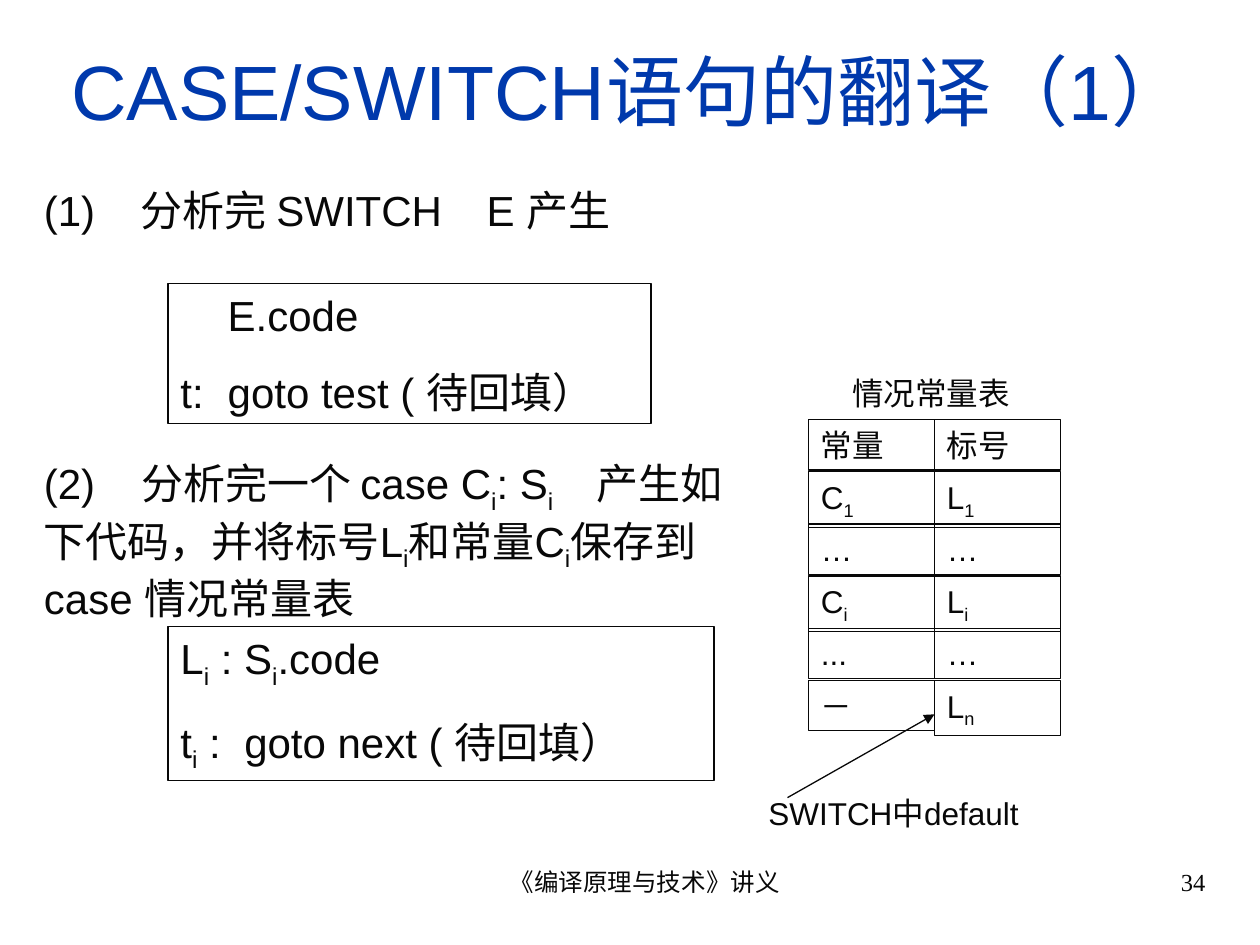
from lxml import etree
from pptx import Presentation
from pptx.dml.color import RGBColor
from pptx.enum.shapes import MSO_CONNECTOR, MSO_SHAPE
from pptx.enum.text import MSO_ANCHOR, MSO_AUTO_SIZE, PP_ALIGN
from pptx.oxml.ns import qn
from pptx.util import Pt

BLUE = RGBColor(0x00, 0x39, 0xAC)
INK = RGBColor(0x08, 0x08, 0x08)
RECTANGLE = MSO_SHAPE.RECTANGLE
STRAIGHT = MSO_CONNECTOR.STRAIGHT
TOP, MIDDLE = MSO_ANCHOR.TOP, MSO_ANCHOR.MIDDLE
LEFT, CENTER, RIGHT = PP_ALIGN.LEFT, PP_ALIGN.CENTER, PP_ALIGN.RIGHT
NO_AUTOFIT = MSO_AUTO_SIZE.NONE
SANS, SERIF = "Arial", "Times New Roman"

# Constant and label columns of the case table; "_" marks a subscript
CASE_ROWS = [
    ("常量", "标号"),
    ("C_1", "L_1"),
    ("…", "…"),
    ("C_i", "L_i"),
    ("...", "…"),
    ("－", "L_n"),
]


def add_styled_run(paragraph, text, size, font, color, subscript=False):
    run = paragraph.add_run()
    run.text = text
    run.font.size = Pt(size)
    run.font.name = font
    run.font.color.rgb = color
    if subscript:
        run._r.get_or_add_rPr().set("baseline", "-25000")


def add_tab_stops(paragraph, stops):
    tab_list = etree.SubElement(paragraph._p.get_or_add_pPr(), qn("a:tabLst"))
    for stop in stops:
        etree.SubElement(tab_list, qn("a:tab"), pos=str(Pt(stop)), algn="l")


def write_text(shape, lines, size, font=SANS, align=LEFT, tabs=(), gap=0):
    """Fill a shape; each character after "_" becomes a subscript."""
    frame = shape.text_frame
    frame.word_wrap = True
    frame.auto_size = NO_AUTOFIT
    frame.vertical_anchor = TOP
    for index, line in enumerate(lines):
        paragraph = frame.add_paragraph() if index else frame.paragraphs[0]
        paragraph.alignment = align
        if tabs:
            add_tab_stops(paragraph, tabs)
        if index:
            paragraph.space_before = Pt(gap)
        first, *pieces = line.split("_")
        if first:
            add_styled_run(paragraph, first, size, font, INK)
        for piece in pieces:
            add_styled_run(paragraph, piece[0], size, font, INK, subscript=True)
            if piece[1:]:
                add_styled_run(paragraph, piece[1:], size, font, INK)


def add_label(slide, box, text, size, **style):
    label = slide.shapes.add_textbox(*map(Pt, box))
    write_text(label, [text], size, **style)
    return label


def add_frame(slide, box, lines, size, **style):
    frame = slide.shapes.add_shape(RECTANGLE, *map(Pt, box))
    frame.shadow.inherit = False
    frame.fill.background()
    frame.line.color.rgb = INK
    frame.line.width = Pt(0.75)
    write_text(frame, lines, size, **style)


def add_title(slide, box):
    title = slide.shapes.title
    title.left, title.top, title.width, title.height = map(Pt, box)
    frame = title.text_frame
    frame.word_wrap = True
    frame.auto_size = NO_AUTOFIT
    frame.vertical_anchor = MIDDLE
    frame.text = "CASE/SWITCH语句的翻译（1）"
    paragraph = frame.paragraphs[0]
    paragraph.alignment = CENTER
    font = paragraph.runs[0].font
    font.size, font.name, font.color.rgb = Pt(44), SANS, BLUE


def add_steps(slide, box):
    left, top, width, _ = box
    frame_left = left + 78
    # Step 1 and its generated code
    add_label(slide, (left, top, 354, 36), "(1)\t分析完 SWITCH\tE 产生", 24,
              tabs=[55.5, 253])
    add_frame(slide, (frame_left, top + 60, 276, 80),
              ["\tE.code", "t:\tgoto test ( 待回填）"], 24, tabs=[27], gap=15)
    # Step 2 and its generated code
    add_label(slide, (left, top + 156, width, 101.5),
              "(2)\t分析完一个 case C_i: S_i\t产生如下代码，"
              "并将标号L_i和常量C_i保存到case 情况常量表", 24, tabs=[55.5, 316])
    add_frame(slide, (frame_left, top + 256, 312, 88),
              ["L_i : S_i.code", "t_i :\tgoto next ( 待回填）"], 24,
              tabs=[36.5], gap=15)


def add_case_table(slide, box):
    left, top, width, height = box
    add_label(slide, (left + 18, top - 29.8, 108, 28.8), "情况常量表", 18)
    column_width = width / 2
    pitch = height / len(CASE_ROWS)
    for row, values in enumerate(CASE_ROWS):
        for column, value in enumerate(values):
            cell_height = 31.7 if "_" in value else 28.8
            add_frame(slide, (left + column * column_width, top + row * pitch,
                              column_width, cell_height), [value], 18)

    # Arrow from the note to the default label
    arrow = slide.shapes.add_connector(
        STRAIGHT, Pt(left - 12), Pt(top + 216),
        Pt(left + column_width), Pt(top + 168.4))
    arrow.line.color.rgb = INK
    arrow.line.width = Pt(0.75)
    etree.SubElement(arrow.line._get_or_add_ln(), qn("a:tailEnd"), type="triangle")
    etree.SubElement(arrow._element.spPr, qn("a:effectLst"))
    add_label(slide, (left - 30, top + 210.2, 174, 28.8), "SWITCH中default", 18)


def add_footer(slide, box):
    left, top, width, height = box
    course = add_label(slide, (left, top, 228, height), "《编译原理与技术》讲义", 14,
                       font=SERIF, align=CENTER)
    properties = course.text_frame.paragraphs[0]._p.get_or_add_pPr()
    properties.set("marL", str(Pt(17)))
    properties.set("indent", "0")
    add_label(slide, (left + width - 180, top, 180, height), "34", 14,
              font=SERIF, align=RIGHT)


def main():
    presentation = Presentation()
    presentation.slide_width, presentation.slide_height = Pt(720), Pt(540)
    slide = presentation.slides.add_slide(presentation.slide_layouts[5])
    add_title(slide, (24, 18, 672, 66))
    add_steps(slide, (18, 102, 408, 344))
    add_case_table(slide, (462, 239.8, 144, 178.8))
    add_footer(slide, (246, 492, 450, 37.5))
    presentation.save("out.pptx")


if __name__ == "__main__":
    main()
